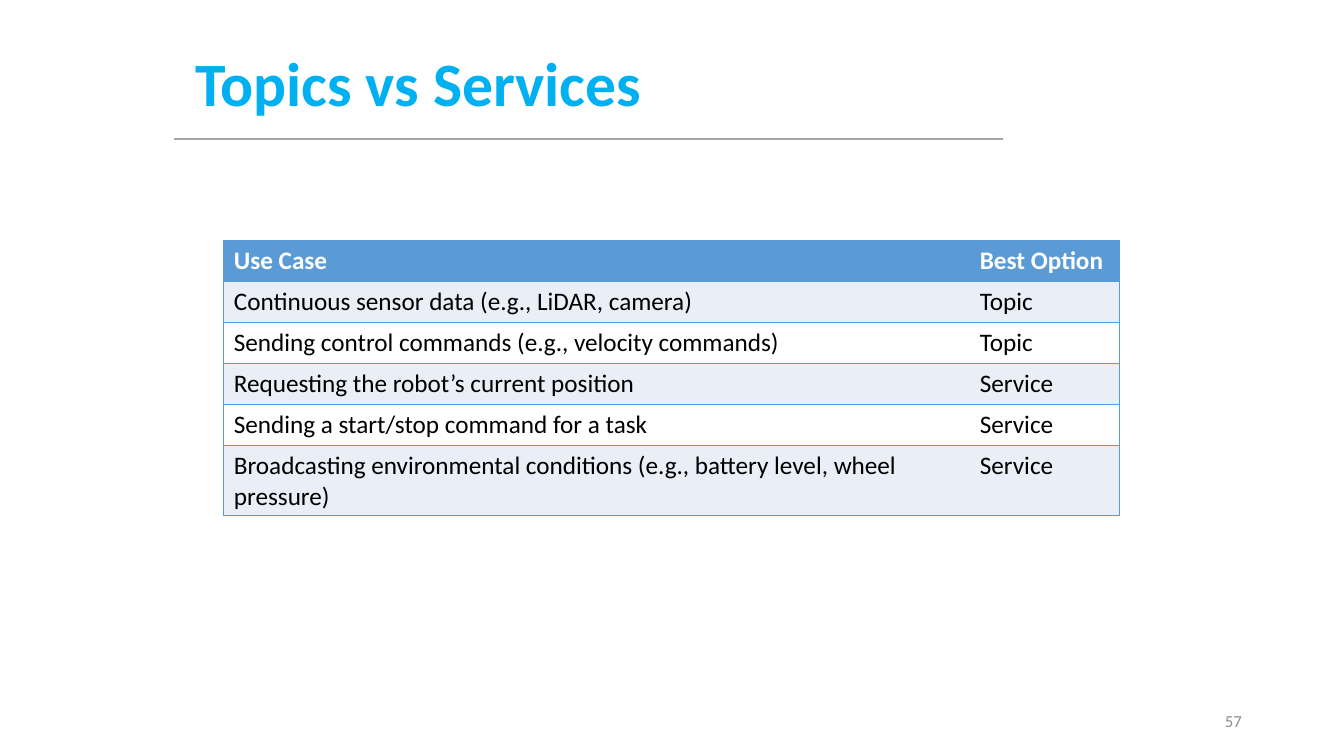
from lxml import etree
from pptx import Presentation
from pptx import util as u
from pptx.dml import color
from pptx.enum import shapes, text
from pptx.oxml import ns

BLUE = "5B9BD5"
ROWS = [
    ("Use Case", "Best Option"),
    ("Continuous sensor data (e.g., LiDAR, camera)", "Topic"),
    ("Sending control commands (e.g., velocity commands)", "Topic"),
    ("Requesting the robot’s current position", "Service"),
    ("Sending a start/stop command for a task", "Service"),
    ("Broadcasting environmental conditions (e.g., battery level, wheel pressure)", "Service"),
]


def rgb(value):
    """Turn a hex string into a colour."""
    return color.RGBColor.from_string(value)


def style(para, size, value, bold=False):
    """Format every run of a paragraph."""
    for span in para.runs:
        span.font.name = "Calibri"
        span.font.size = u.Pt(size)
        span.font.bold = bold
        span.font.color.rgb = rgb(value)


def add_label(page, box, words, size, value, bold=False, align=text.PP_ALIGN.LEFT):
    """Add one vertically centred line of text and return its paragraph."""
    frame = page.shapes.add_textbox(*map(u.Cm, box)).text_frame
    frame.word_wrap = True
    frame.vertical_anchor = text.MSO_ANCHOR.MIDDLE
    para = frame.paragraphs[0]
    para.text = words
    para.alignment = align
    style(para, size, value, bold)
    return para


def add_heading(page, box):
    """Add the title and the rule that crosses the lower part of its box."""
    left, top, width, height = box
    rule_left, rule_top = left - 0.28, top + 3.18
    rule = page.shapes.add_connector(
        shapes.MSO_CONNECTOR.STRAIGHT,
        *map(u.Cm, (rule_left + 20.88, rule_top, rule_left, rule_top)))
    rule.line.color.rgb = rgb("A5A5A5")
    rule.line.width = u.Pt(1.5)
    etree.SubElement(rule.line._get_or_add_ln().getparent(), ns.qn("a:effectLst"))
    para = add_label(page, box, "Topics vs Services", 44, "00B0F0", True)
    para.line_spacing = 0.9


def set_border(cell, side, value=None):
    """Draw a one-point cell edge, or clear it when no colour is given."""
    edge = etree.SubElement(cell._tc.get_or_add_tcPr(), ns.qn(f"a:ln{side}"), w=str(u.Pt(1)))
    if value is None:
        etree.SubElement(edge, ns.qn("a:noFill"))
    else:
        fill = etree.SubElement(edge, ns.qn("a:solidFill"))
        etree.SubElement(fill, ns.qn("a:srgbClr"), val=value)


def add_comparison(page, box):
    """Add the banded table of use cases."""
    left, top, width, height = box
    holder = page.shapes.add_table(len(ROWS), 2, *map(u.Cm, box))
    table = holder.table
    option_width = 3.78
    table.columns[0].width = u.Cm(width - option_width)
    table.columns[1].width = u.Cm(option_width)
    for row, words in enumerate(ROWS):
        table.rows[row].height = u.Cm(1.03)
        for column, word in enumerate(words):
            cell = table.cell(row, column)
            inner = "R" if column == 0 else "L"
            for side in "LRTB":
                set_border(cell, side, None if side == inner else BLUE)
            cell.fill.solid()
            cell.fill.fore_color.rgb = rgb(
                BLUE if row == 0 else "EAEFF7" if row % 2 else "FFFFFF")
            cell.text_frame.text = word
            style(cell.text_frame.paragraphs[0], 18,
                  "000000" if row else "FFFFFF", row == 0)
    holder.height = u.Cm(height)


def main():
    """Build the slide and save it."""
    deck = Presentation()
    deck.slide_width, deck.slide_height = u.Cm(33.87), u.Cm(19.05)
    page = deck.slides.add_slide(deck.slide_layouts[6])
    add_heading(page, (4.67, 0.33, 22.66, 3.68))
    add_comparison(page, (5.64, 6.07, 22.58, 6.93))
    add_label(page, (23.93, 17.65, 7.62, 1.02), "57", 12, "8C8C8C",
              align=text.PP_ALIGN.RIGHT)
    deck.save("out.pptx")


if __name__ == "__main__":
    main()
